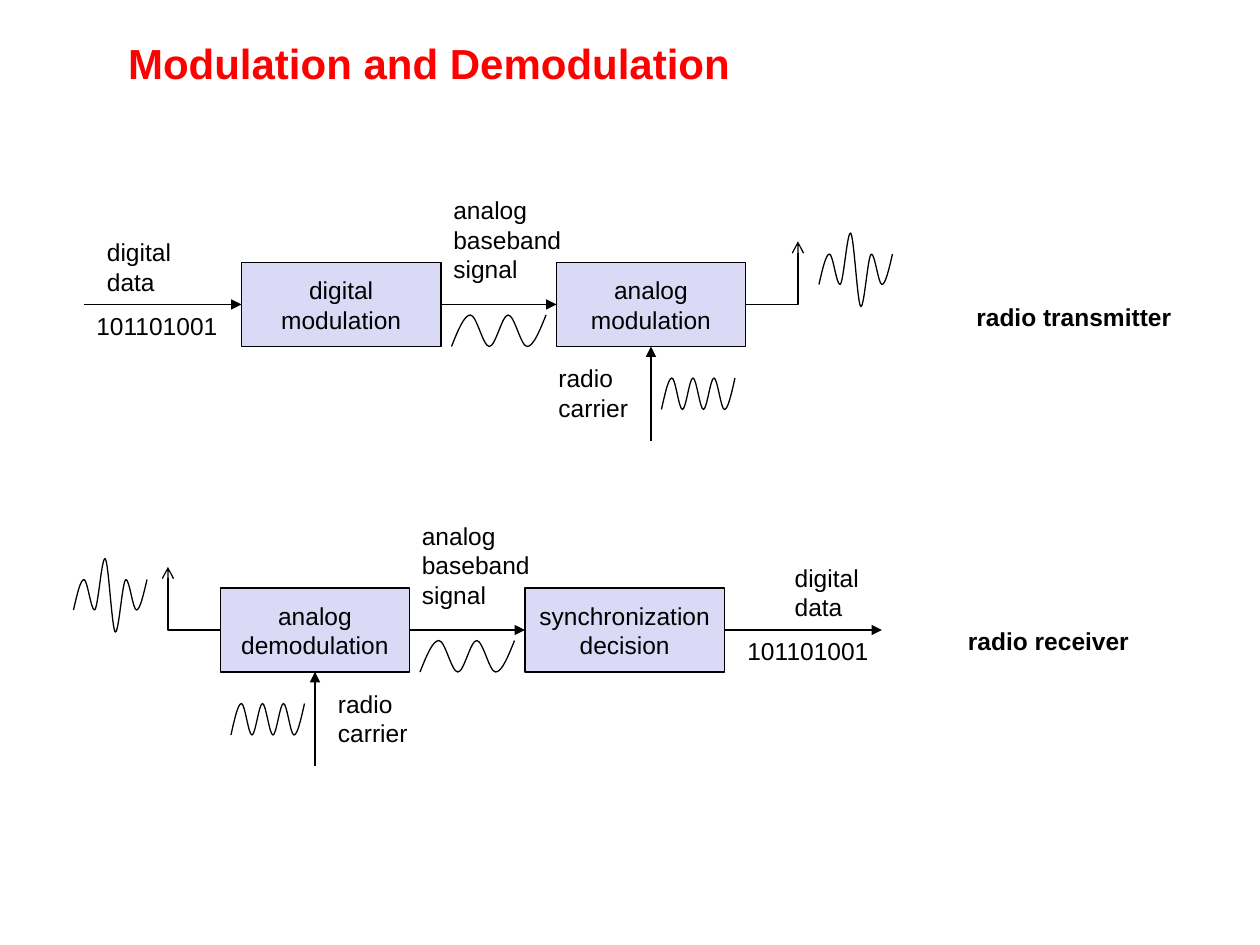
from itertools import pairwise
from lxml.etree import SubElement
from pptx import Presentation
from pptx.dml.color import RGBColor
from pptx.enum.shapes import MSO_CONNECTOR, MSO_SHAPE
from pptx.enum.text import MSO_ANCHOR, MSO_AUTO_SIZE, PP_ALIGN
from pptx.oxml.ns import qn
from pptx.util import Inches, Pt

BLACK, LAVENDER, RED = "000000", "DADAF6", "FF0000"
BASEBAND = [3, 0, 3, 0, 3, 0]
CARRIER = [3, 0, 3, 0, 3, 0, 3, 0]
MODULATED = [5.1, 2.2, 5.1, 0.2, 7.2, 2.2, 5.1, 2.2]


def grid(n):
    return Inches(n / 12)


def color(hex_value):
    return RGBColor.from_string(hex_value)


def style_text(tf, size=14, hex_value=BLACK, bold=False, align=PP_ALIGN.LEFT):
    for p in tf.paragraphs:
        p.alignment = align
        for r in p.runs:
            r.font.name = "Arial"
            r.font.size = Pt(size)
            r.font.bold = bold
            r.font.color.rgb = color(hex_value)


def style_line(sp):
    sp.line.color.rgb = color(BLACK)
    sp.line.width = Pt(0.75)


def add_label(s, x, y, w, text, bold=False):
    height = 0.34 + 0.23 * text.count("\n")
    sp = s.shapes.add_textbox(grid(x), grid(y), Inches(w), Inches(height))
    tf = sp.text_frame
    tf.text = text
    tf.word_wrap = False
    tf.auto_size = MSO_AUTO_SIZE.SHAPE_TO_FIT_TEXT
    style_text(tf, bold=bold)


def add_block(s, x, y, w, text):
    sp = s.shapes.add_shape(MSO_SHAPE.RECTANGLE, grid(x), grid(y), grid(w), grid(8))
    sp.shadow.inherit = False
    sp.fill.solid()
    sp.fill.fore_color.rgb = color(LAVENDER)
    style_line(sp)
    tf = sp.text_frame
    tf.text = text
    tf.word_wrap = False
    tf.vertical_anchor = MSO_ANCHOR.MIDDLE
    style_text(tf, align=PP_ALIGN.CENTER)
    return sp


def add_arrow(s, start, end, kind=MSO_CONNECTOR.STRAIGHT, head="triangle"):
    line = s.shapes.add_connector(kind, *map(grid, start + end))
    style_line(line)
    SubElement(line.line._get_or_add_ln(), qn("a:tailEnd"), type=head)
    SubElement(line._element.spPr, qn("a:effectLst"))
    return line


def add_wave(s, x, y, w, levels):
    count = len(levels) - 1
    knots = [(grid(x + i * w / count), grid(y + level)) for i, level in enumerate(levels)]
    builder = s.shapes.build_freeform(*knots[0])
    builder.add_line_segments(knots[1:], close=False)
    sp = builder.convert_to_shape()
    sp.shadow.inherit = False
    sp.fill.background()
    style_line(sp)
    round_segments(sp)


def round_segments(sp):
    segments = list(sp._element.iter(qn("a:lnTo")))
    points = [(int(pt.get("x")), int(pt.get("y"))) for pt in sp._element.iter(qn("a:pt"))]
    for i, ((x1, y1), (x2, y2)) in enumerate(pairwise(points)):
        middle = (y1 + y2) // 2
        third = (x2 - x1) // 3
        leave = middle if i == 0 else y1
        arrive = middle if i == len(segments) - 1 else y2
        segment = segments[i]
        curve = SubElement(segment.getparent(), qn("a:cubicBezTo"))
        for px, py in ((x1 + third, leave), (x2 - third, arrive), (x2, y2)):
            SubElement(curve, qn("a:pt"), x=str(px), y=str(py))
        segment.getparent().remove(segment)


def add_antenna(s, block, side, x, y, reach):
    mast = add_arrow(s, (x, y + 11), (x + reach, y + 5), MSO_CONNECTOR.ELBOW, "arrow")
    mast.begin_connect(block, side)
    mast._element.spPr.find(qn("a:prstGeom")).set("prst", "bentConnector2")


def add_carrier(s, block, x, y, label_x, wave_x):
    arrow = add_arrow(s, (x, y + 24), (x, y + 15))
    arrow.end_connect(block, 2)
    add_label(s, label_x, y + 16, 0.75, "radio\ncarrier")
    add_wave(s, wave_x, y + 18, 7, CARRIER)


def add_baseband(s, left, right, x, y):
    link = add_arrow(s, (x, y + 11), (x + 11, y + 11))
    link.begin_connect(left, 3)
    link.end_connect(right, 1)
    add_label(s, x, y, 1.07, "analog\nbaseband\nsignal")
    add_wave(s, x + 1, y + 12, 9, BASEBAND)


def add_digital_data(s, x, y, label_x, bits_x):
    add_label(s, label_x, y + 4, 0.71, "digital\ndata")
    add_label(s, bits_x, y + 11, 1.17, "101101001")
    return add_arrow(s, (x, y + 11), (x + 15, y + 11))


def add_transmitter(s, x, y):
    digital = add_block(s, x + 15, y + 7, 19, "digital\nmodulation")
    analog = add_block(s, x + 45, y + 7, 18, "analog\nmodulation")
    add_digital_data(s, x, y, x + 1, x).end_connect(digital, 1)
    add_baseband(s, digital, analog, x + 34, y)
    add_carrier(s, analog, x + 54, y, x + 44, x + 55)
    add_antenna(s, analog, 3, x + 63, y, 5)
    add_wave(s, x + 70, y + 4, 7, MODULATED)
    add_label(s, x + 83.8, y + 10.2, 1.75, "radio transmitter", bold=True)


def add_receiver(s, x, y):
    analog = add_block(s, x + 14, y + 7, 18, "analog\ndemodulation")
    digital = add_block(s, x + 43, y + 7, 19, "synchronization\ndecision")
    add_wave(s, x, y + 4, 7, MODULATED)
    add_antenna(s, analog, 1, x + 14, y, -5)
    add_carrier(s, analog, x + 23, y, x + 24, x + 15)
    add_baseband(s, analog, digital, x + 32, y)
    add_digital_data(s, x + 62, y, x + 67.5, x + 63).begin_connect(digital, 3)
    add_label(s, x + 84, y + 10, 1.48, "radio receiver", bold=True)


def add_title(s, x, y, w, h):
    sp = s.shapes.title
    sp.left, sp.top, sp.width, sp.height = map(grid, (x, y, w, h))
    tf = sp.text_frame
    tf.text = "Modulation and Demodulation"
    tf.vertical_anchor = MSO_ANCHOR.MIDDLE
    style_text(tf, 24, RED, bold=True)


def main():
    prs = Presentation()
    prs.slide_width, prs.slide_height = Inches(10), Inches(7.5)
    s = prs.slides.add_slide(prs.slide_layouts[5])
    add_title(s, 11, 3, 102, 6)
    add_transmitter(s, 8, 18)
    add_receiver(s, 7, 49)
    prs.save("out.pptx")


if __name__ == "__main__":
    main()
